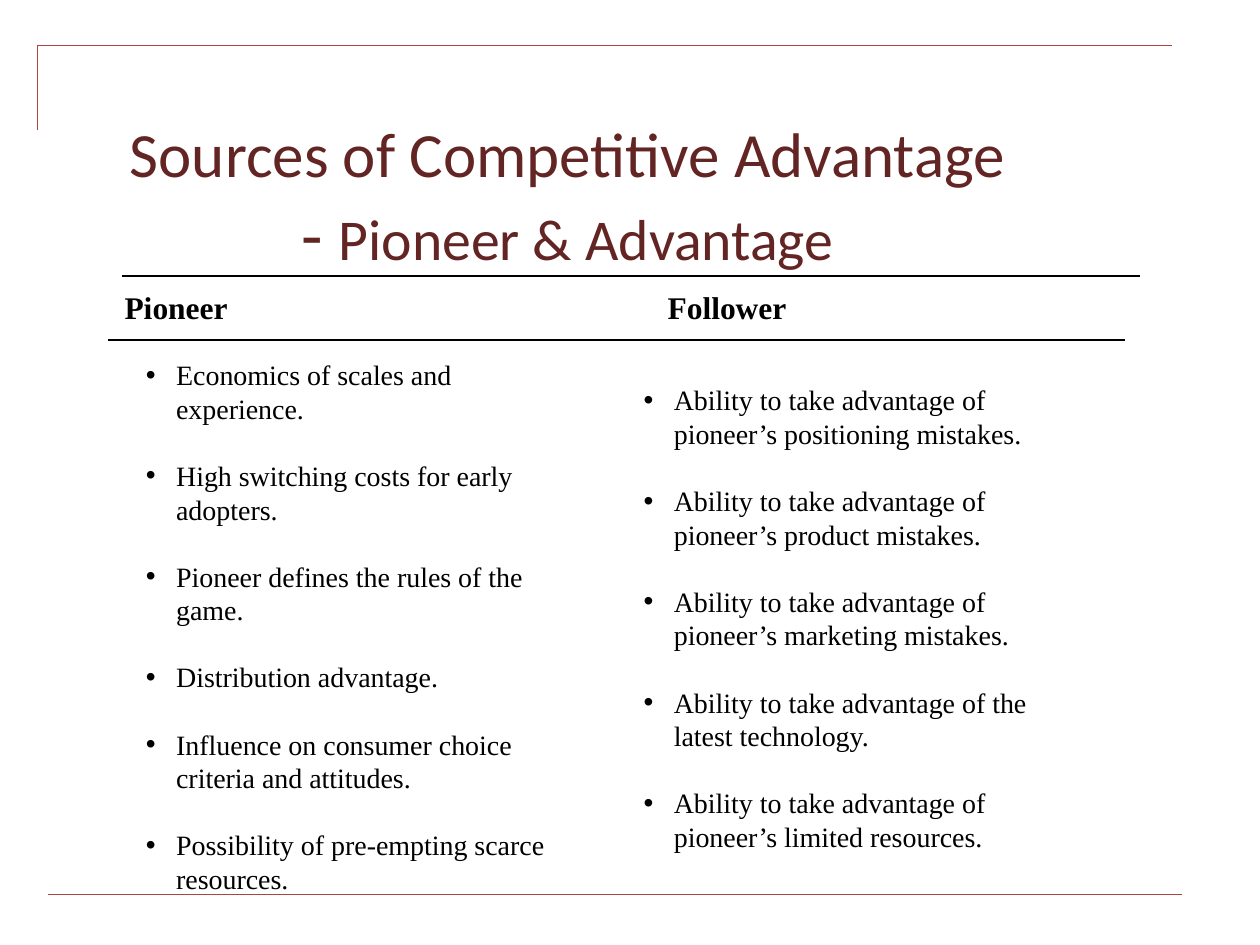
from lxml.etree import SubElement
from pptx import Presentation
from pptx.dml.color import RGBColor
from pptx.enum.shapes import MSO_CONNECTOR
from pptx.enum.text import MSO_ANCHOR, PP_ALIGN
from pptx.oxml.ns import qn
from pptx.util import Inches, Pt

COLORS = {"frame": "AD4441", "title": "632523", "ink": "000000"}
BODY_FONT = "Times New Roman"
BODY_PITCH = Pt(19.2)
HANG = Inches(0.24)

PIONEER = [
    "Economics of scales and experience.",
    "High switching costs for early adopters.",
    "Pioneer defines the rules of the game.",
    "Distribution advantage.",
    "Influence on consumer choice criteria and attitudes.",
    "Possibility of pre-empting scarce resources.",
]
FOLLOWER = [
    "Ability to take advantage of " + rest
    for rest in (
        "pioneer’s positioning mistakes.",
        "pioneer’s product mistakes.",
        "pioneer’s marketing mistakes.",
        "the latest technology.",
        "pioneer’s limited resources.",
    )
]


def rgb(name):
    return RGBColor.from_string(COLORS[name])


def add_run(paragraph, text, size, font, color, bold=False):
    run = paragraph.add_run()
    run.text = text
    run.font.size = Pt(size)
    run.font.name = font
    run.font.bold = bold
    run.font.color.rgb = rgb(color)


def add_text_frame(slide, left, top, width, height):
    box = slide.shapes.add_textbox(*map(Inches, (left, top, width, height)))
    box.text_frame.word_wrap = True
    return box.text_frame


def add_rule(slide, left, right, y, color, weight):
    rule = slide.shapes.add_connector(
        MSO_CONNECTOR.STRAIGHT, *map(Inches, (left, y, right, y)))
    rule.line.color.rgb = rgb(color)
    rule.line.width = Pt(weight)
    SubElement(rule.element.spPr, qn("a:effectLst"))


def add_corner(slide, left, top, right, bottom):
    builder = slide.shapes.build_freeform(Inches(left), Inches(bottom))
    builder.add_line_segments(
        [(Inches(left), Inches(top)), (Inches(right), Inches(top))], close=False)
    corner = builder.convert_to_shape()
    corner.shadow.inherit = False
    corner.fill.background()
    corner.line.color.rgb = rgb("frame")
    corner.line.width = Pt(0.75)


def add_title(slide):
    frame = add_text_frame(slide, 0.42, 0.91, 8.17, 1.29)
    frame.margin_top = frame.margin_bottom = 0
    frame.vertical_anchor = MSO_ANCHOR.TOP
    title = frame.paragraphs[0]
    title.alignment = PP_ALIGN.CENTER
    add_run(title, "Sources of Competitive Advantage", 36, "Calibri", "title")
    title.add_line_break()
    add_run(title, "- ", 40, "Calibri", "title")
    add_run(title, "Pioneer & Advantage", 33, "Calibri", "title")


def add_headings(slide):
    headings = add_text_frame(slide, 0.89, 2.24, 7.92, 0.4).paragraphs[0]
    tabs = SubElement(headings._p.get_or_add_pPr(), qn("a:tabLst"))
    SubElement(tabs, qn("a:tab"), pos=str(Inches(4.31)), algn="l")
    add_run(headings, "Pioneer\tFollower", 18, BODY_FONT, "ink", bold=True)


def add_bullets(slide, items, left, top, width, height):
    frame = add_text_frame(slide, left, top, width, height)
    for index, item in enumerate(items):
        point = frame.add_paragraph() if index else frame.paragraphs[0]
        point.line_spacing = BODY_PITCH
        if index:
            point.space_before = BODY_PITCH
        props = point._p.get_or_add_pPr()
        props.set("marL", str(HANG))
        props.set("indent", str(-HANG))
        SubElement(props, qn("a:buFont"), typeface="Arial")
        SubElement(props, qn("a:buChar"), char="•")
        add_run(point, item, 16, BODY_FONT, "ink")


def main():
    prs = Presentation()
    prs.slide_width, prs.slide_height = Inches(10), Inches(7.5)
    slide = prs.slides.add_slide(prs.slide_layouts[6])

    # Page frame
    add_corner(slide, 0.3, 0.36, 9.3, 1.03)
    add_rule(slide, 0.38, 9.38, 7.1, "frame", 0.75)

    # Title and column headings between two rules
    add_title(slide)
    add_rule(slide, 0.97, 9.05, 2.19, "ink", 1)
    add_headings(slide)
    add_rule(slide, 0.86, 8.93, 2.7, "ink", 1)

    # Advantages of each side
    add_bullets(slide, PIONEER, 1.06, 2.79, 3.54, 4.1)
    add_bullets(slide, FOLLOWER, 5.01, 2.99, 3.63, 3.83)

    prs.save("out.pptx")


if __name__ == "__main__":
    main()
